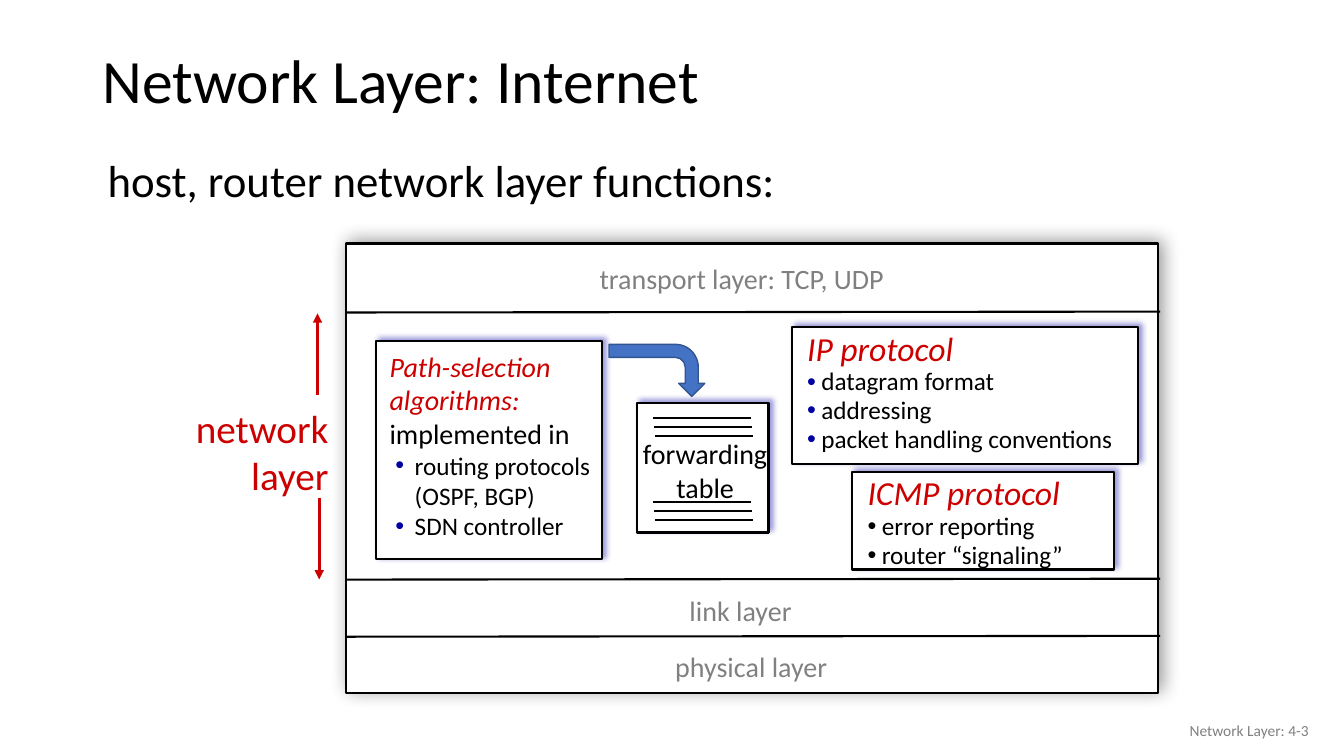
from dataclasses import dataclass
from itertools import product

from lxml.etree import SubElement
from pptx import Presentation
from pptx.dml.color import RGBColor
from pptx.enum.shapes import MSO_CONNECTOR, MSO_SHAPE
from pptx.enum.text import MSO_ANCHOR, MSO_AUTO_SIZE, PP_ALIGN
from pptx.oxml.ns import qn
from pptx.util import Emu, Inches, Pt


@dataclass(frozen=True)
class Theme:
    font: str = "Calibri"
    black: str = "000000"
    white: str = "FFFFFF"
    red: str = "CC0000"
    navy: str = "0000A3"
    gray: str = "808080"
    blue: str = "4472C4"
    blue_edge: str = "325491"
    title: int = 44
    lead: int = 32
    side: int = 28
    heading: int = 24
    label: int = 20
    item: int = 18
    footer: int = 11
    thin: float = 1
    rule: float = 1.5
    arrow: float = 2.25


T = Theme()
COLS, ROWS = 160, 90
prs = Presentation()
prs.slide_width, prs.slide_height = Inches(40 / 3), Inches(7.5)


def col(n: float) -> Emu:
    return Emu(round(n * prs.slide_width / COLS))


def row(n: float) -> Emu:
    return Emu(round(n * prs.slide_height / ROWS))


@dataclass(frozen=True)
class Area:
    x: float
    y: float
    w: float
    h: float

    def emu(self) -> tuple[Emu, Emu, Emu, Emu]:
        return col(self.x), row(self.y), col(self.w), row(self.h)


@dataclass(frozen=True)
class Para:
    text: str
    size: int
    color: str = T.black
    italic: bool = False
    tail: str = ""
    spacing: float = 1.0
    align: PP_ALIGN = PP_ALIGN.LEFT
    indent: float = 0
    hang: float = 0
    bullet: str = ""


@dataclass(frozen=True)
class Label:
    area: Area
    paras: tuple[Para, ...]
    wrap: bool = False
    anchor: MSO_ANCHOR = MSO_ANCHOR.TOP


@dataclass(frozen=True)
class Box:
    area: Area
    shadow: str = T.navy
    blur: int = 4


@dataclass(frozen=True)
class Stroke:
    x1: float
    y1: float
    x2: float
    y2: float
    color: str = T.black
    width: float = T.rule
    arrow: bool = False


def rgb(value: str) -> RGBColor:
    return RGBColor.from_string(value)


def fill_text(tf, paras: tuple[Para, ...], wrap: bool, anchor: MSO_ANCHOR) -> None:
    tf.text = "\n".join(para.text for para in paras)
    tf.word_wrap, tf.vertical_anchor = wrap, anchor
    tf.auto_size = MSO_AUTO_SIZE.NONE
    for p, para in zip(tf.paragraphs, paras):
        p.alignment, p.line_spacing = para.align, para.spacing
        if para.tail:
            p.add_run().text = para.tail
        for i, r in enumerate(p.runs):
            r.font.name, r.font.size = T.font, Pt(para.size)
            r.font.italic = para.italic and i == 0
            r.font.color.rgb = rgb(T.black if i else para.color)
        pr = p._p.get_or_add_pPr()
        pr.set("marL", str(col(para.indent)))
        pr.set("indent", str(col(-para.hang)))
        if para.bullet:
            SubElement(SubElement(pr, qn("a:buClr")), qn("a:srgbClr"), val=para.bullet)
            SubElement(pr, qn("a:buFont"), typeface="Arial")
            SubElement(pr, qn("a:buChar"), char="•")
        else:
            SubElement(pr, qn("a:buNone"))


def put_label(shapes, label: Label) -> None:
    tb = shapes.add_textbox(*label.area.emu())
    fill_text(tb.text_frame, label.paras, label.wrap, label.anchor)


def put_placeholder(sp, label: Label) -> None:
    sp.left, sp.top, sp.width, sp.height = label.area.emu()
    fill_text(sp.text_frame, label.paras, label.wrap, label.anchor)


def put_shape(shapes, kind: MSO_SHAPE, area: Area, fill: str, edge: str, width: float):
    sp = shapes.add_shape(kind, *area.emu())
    sp.fill.solid()
    sp.fill.fore_color.rgb = rgb(fill)
    sp.line.color.rgb, sp.line.width = rgb(edge), Pt(width)
    sp.shadow.inherit = False
    return sp


def put_box(shapes, box: Box) -> None:
    sp = put_shape(shapes, MSO_SHAPE.RECTANGLE, box.area, T.white, T.black, T.rule)
    effects = sp.element.spPr.find(qn("a:effectLst"))
    shadow = SubElement(effects, qn("a:outerShdw"), blurRad=str(Pt(box.blur)),
                        dist=str(Pt(3)), dir=str(315 * 60000), algn="bl", rotWithShape="0")
    color = SubElement(shadow, qn("a:srgbClr"), val=box.shadow)
    SubElement(color, qn("a:alpha"), val="40000")


def put_stroke(shapes, stroke: Stroke) -> None:
    c = shapes.add_connector(MSO_CONNECTOR.STRAIGHT, col(stroke.x1), row(stroke.y1),
                             col(stroke.x2), row(stroke.y2))
    c.line.color.rgb, c.line.width = rgb(stroke.color), Pt(stroke.width)
    if stroke.arrow:
        SubElement(c.element.spPr.find(qn("a:ln")), qn("a:tailEnd"), type="triangle")
    SubElement(c.element.spPr, qn("a:effectLst"))


def heading(text: str) -> Para:
    return Para(text, T.heading, T.red, True)


def item(text: str, bullet: str, spacing: float = 0.95, indent: float = 1.7, hang: float = 1.7) -> Para:
    return Para(text, T.item, spacing=spacing, indent=indent, hang=hang, bullet=bullet)


def layer(text: str, x: float, y: float, w: float) -> Label:
    return Label(Area(x, y, w, 5.3), (Para(text, T.label, T.gray),))


TITLE = Label(Area(11, 4.1, 138, 11.8), (Para("Network Layer: Internet", T.title, spacing=0.9),),
              True, MSO_ANCHOR.MIDDLE)
LEAD = Label(Area(11.6, 18.6, 98.9, 5.8),
             (Para("host, router network layer functions:", T.lead, spacing=0.85, indent=4.5, hang=4.5),), True)

BOXES = (
    Box(Area(41.2, 29, 96.7, 53.5), T.black, 13),
    Box(Area(94.3, 38.9, 41.2, 16.3)),
    Box(Area(101.4, 56.2, 31.2, 11.6)),
    Box(Area(75.8, 48, 15.7, 15.4)),
    Box(Area(44.8, 40.6, 26.9, 26)),
)
LAYER_RULES = tuple(Stroke(41.3, y, 138.1, y - 0.1) for y in (37.2, 69, 75.8))
TABLE_RULES = tuple(Stroke(77.8 + 0.1 * i, y + 1.05 * i, 89.4 + 0.1 * i, y + 1.05 * i)
                    for y, i in product((49.8, 59.8), range(3)))
SPAN_ARROWS = (
    Stroke(37.8, 47, 37.8, 37.3, T.red, T.arrow, True),
    Stroke(38, 59.3, 38, 69, T.red, T.arrow, True),
)
LABELS = (
    Label(Area(94.9, 38.4, 40, 16.4), (heading("IP protocol"), *(
        item(text, T.navy) for text in ("datagram format", "addressing", "packet handling conventions")))),
    Label(Area(102.1, 55.6, 32.3, 12.7), (heading("ICMP protocol"), *(
        item(text, T.black) for text in ("error reporting", "router “signaling”"))), True),
    layer("transport layer: TCP, UDP", 70.2, 30.5, 37.2),
    layer("link layer", 80.9, 70.1, 14.8),
    layer("physical layer", 79.2, 76.7, 20.9),
    Label(Area(21.8, 47.5, 18.5, 12.5), tuple(
        Para(text, T.side, T.red, align=PP_ALIGN.RIGHT) for text in ("network", "layer"))),
    Label(Area(75.2, 51.4, 17.5, 9.2), tuple(
        Para(text, T.label, align=PP_ALIGN.CENTER) for text in ("forwarding", "table"))),
    Label(Area(45.2, 41, 27.8, 24.2), (
        Para("Path-selection algorithms: ", T.label, T.red, True, "implemented in"),
        *(item(text, T.navy, 1.0, 3, 2.3) for text in ("routing protocols (OSPF, BGP)", "SDN controller"))), True),
    Label(Area(121, 84.6, 36, 4.8),
          (Para("Network Layer: 4-3", T.footer, T.gray, align=PP_ALIGN.RIGHT),), True, MSO_ANCHOR.MIDDLE),
)


def main() -> None:
    s = prs.slides.add_slide(prs.slide_layouts[1])
    put_placeholder(s.shapes.title, TITLE)
    put_placeholder(s.placeholders[1], LEAD)
    for box in BOXES:
        put_box(s.shapes, box)
    for stroke in LAYER_RULES + TABLE_RULES + SPAN_ARROWS:
        put_stroke(s.shapes, stroke)
    for label in LABELS:
        put_label(s.shapes, label)
    bend = put_shape(s.shapes, MSO_SHAPE.BENT_ARROW, Area(75.1, 38.4, 6.2, 11.4), T.blue, T.blue_edge, T.thin)
    bend.rotation = 90
    prs.save("out.pptx")


if __name__ == "__main__":
    main()
